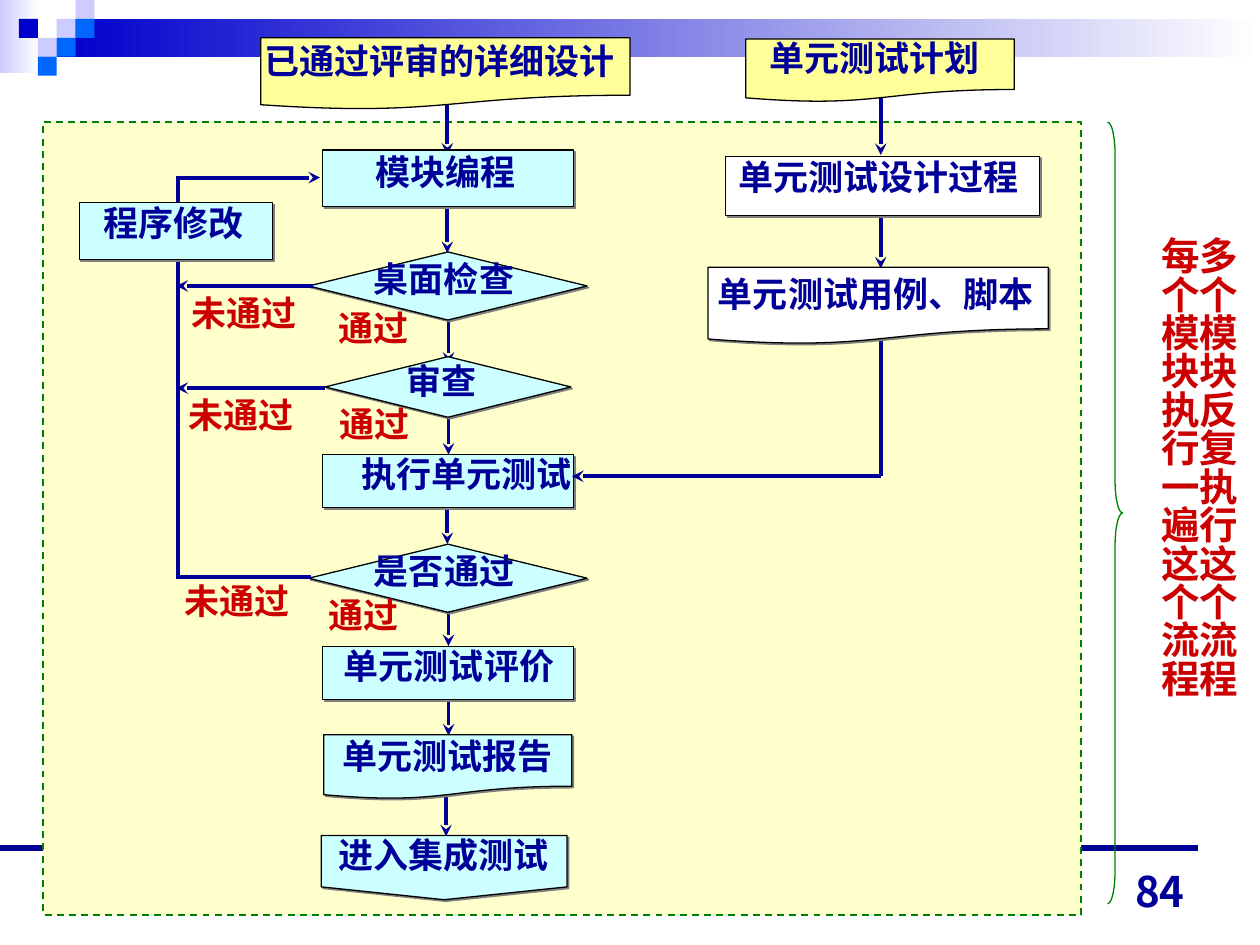
from dataclasses import dataclass

from lxml.etree import SubElement
from pptx import Presentation
from pptx.dml.color import RGBColor
from pptx.enum.dml import MSO_LINE
from pptx.enum.shapes import MSO_CONNECTOR, MSO_SHAPE as Kind
from pptx.enum.text import MSO_ANCHOR as Anchor, PP_ALIGN as Align
from pptx.oxml.ns import qn
from pptx.util import Pt


@dataclass(frozen=True)
class Theme:
    navy: str = "000099"
    blue: str = "0000CC"
    bright: str = "0066FF"
    lilac: str = "CCCCFF"
    white: str = "FFFFFF"
    black: str = "000000"
    gray: str = "808080"
    green: str = "008000"
    red: str = "CC0000"
    aqua: str = "CCFFFF"
    yellow: str = "FFFF99"
    cream: str = "FFFFCC"
    latin: str = "Times New Roman"
    chinese: str = "Noto Sans CJK SC"
    digits: str = "Noto Sans CJK JP"
    label_size: int = 20
    note_size: int = 22
    number_size: int = 24


THEME = Theme()
LABEL_HEIGHT = 32.4


@dataclass(frozen=True)
class Box:
    left: float
    top: float
    width: float
    height: float

    def inside(self, left, top, width, height):
        """Turn a place relative to this box into a place on the page."""
        return Box(self.left + left, self.top + top, width, height)

    def points(self):
        return [Pt(value) for value in (self.left, self.top, self.width, self.height)]


def color(value):
    return RGBColor.from_string(value)


def add_shape(page, kind, box, fill=None, line=None, width=0.75, shadow=False):
    shape = page.shapes.add_shape(kind, *box.points())
    if fill:
        shape.fill.solid()
        shape.fill.fore_color.rgb = color(fill)
    else:
        shape.fill.background()
    if line:
        shape.line.color.rgb = color(line)
        shape.line.width = Pt(width)
    else:
        shape.line.fill.background()
    shape.shadow.inherit = False
    if shadow:
        effects = shape._element.spPr.find(qn("a:effectLst"))
        outer = SubElement(effects, qn("a:outerShdw"), dist=str(Pt(1.4)),
                           dir="2700000", algn="ctr", rotWithShape="0")
        SubElement(outer, qn("a:srgbClr"), val=THEME.gray)
    return shape


def add_gradient(page, box, tint):
    """Add a band that fades from the tint on its left to white."""
    fill = add_shape(page, Kind.RECTANGLE, box, THEME.white).fill
    fill.gradient()
    fill.gradient_angle = 180
    for stop, value in zip(fill.gradient_stops, (THEME.white, tint)):
        stop.color.rgb = color(value)


def add_line(page, region, start, end, arrow=True, width=2.25):
    ends = [Pt(value) for x, y in (start, end)
            for value in (region.left + x, region.top + y)]
    line = page.shapes.add_connector(MSO_CONNECTOR.STRAIGHT, *ends)
    line.line.color.rgb = color(THEME.navy)
    line.line.width = Pt(width)
    if arrow:
        SubElement(line._element.spPr.find(qn("a:ln")), qn("a:tailEnd"), type="stealth")
    SubElement(line._element.spPr, qn("a:effectLst"))


def add_text(page, box, lines, ink, size, font=THEME.latin, align=Align.JUSTIFY,
             spacing=0.9):
    frame = page.shapes.add_textbox(*box.points()).text_frame
    frame.word_wrap = True
    for index, words in enumerate(lines):
        para = frame.add_paragraph() if index else frame.paragraphs[0]
        para.alignment = align
        para.line_spacing = spacing
        span = para.add_run()
        span.text = words
        span.font.size = Pt(size)
        span.font.bold = True
        span.font.color.rgb = color(ink)
        span.font.name = font
        SubElement(span._r.get_or_add_rPr(), qn("a:ea"), typeface=THEME.chinese)
    return frame


def add_label(page, region, left, top, width, words, ink=THEME.navy, font=THEME.latin):
    add_text(page, region.inside(left, top, width, LABEL_HEIGHT), [words], ink,
             THEME.label_size, font)


def add_steps(page, region, steps):
    """Add flow steps: kind, fill, place, label left, top and width, words."""
    for kind, fill, place, label, words in steps:
        add_shape(page, kind, region.inside(*place), fill, THEME.black,
                  shadow=fill != THEME.yellow)
        add_label(page, region, *label, words)


def add_banner(page, region):
    cell = 10.8
    add_gradient(page, region.inside(0, 0, 22.3, 41.8), THEME.lilac)
    add_gradient(page, region.inside(3 * cell, cell, region.width - 3 * cell, 2 * cell),
                 THEME.blue)
    for column, row, fill in (
            (3, 1, THEME.lilac), (4, 0, THEME.lilac), (4, 1, THEME.bright),
            (2, 2, THEME.lilac), (1, 1, THEME.blue), (3, 2, THEME.bright),
            (2, 3, THEME.bright)):
        add_shape(page, Kind.RECTANGLE,
                  region.inside(column * cell, row * cell, cell, cell), fill)


def add_panel(page, region):
    panel = add_shape(page, Kind.RECTANGLE, region, THEME.cream, THEME.green, 1)
    panel.line.dash_style = MSO_LINE.DASH


def add_main_flow(page, region):
    for x, top in ((111.6, 32.4), (111.6, 88.6), (112.3, 151.9), (112.3, 203.8),
                   (111.6, 254.9), (112.3, 313.2), (112.3, 364.3), (110.9, 421.9)):
        add_line(page, region, (x, top), (x, top + 34.4))
    aqua = THEME.aqua
    add_steps(page, region, (
        (Kind.FLOWCHART_DOCUMENT, THEME.yellow, (5, 0, 211, 41), (0, 0, 228),
         "已通过评审的详细设计"),
        (Kind.RECTANGLE, aqua, (40.3, 64.1, 143.3, 32.4), (63.4, 63.4, 103), "模块编程"),
        (Kind.DIAMOND, aqua, (32.4, 122.4, 159.1, 38.9), (62.6, 124.6, 103), "桌面检查"),
        (Kind.DIAMOND, aqua, (41.8, 182.2, 140.4, 34.6), (81.4, 182.9, 103), "审查"),
        (Kind.RECTANGLE, aqua, (40.3, 238.3, 143.3, 30.2), (55.4, 236.2, 136), "执行单元测试"),
        (Kind.DIAMOND, aqua, (32.4, 289.4, 159.1, 38.9), (62.6, 291.6, 107), "是否通过"),
        (Kind.RECTANGLE, aqua, (40.3, 347.8, 143.3, 30.2), (45.4, 345.6, 136), "单元测试评价"),
        (Kind.FLOWCHART_DOCUMENT, aqua, (41, 398.2, 141.8, 36.7), (44.6, 397.4, 136),
         "单元测试报告"),
        (Kind.FLOWCHART_OFFPAGE_CONNECTOR, aqua, (39.6, 455.8, 140.4, 36.7),
         (42.5, 453.6, 136), "进入集成测试"),
    ))


def add_rework_loop(page, region):
    spine = 56.1
    add_line(page, region, (spine, 0), (spine, 229), arrow=False)
    add_shape(page, Kind.RECTANGLE, region.inside(0, 15.1, 110.2, 32.4), THEME.aqua,
              THEME.black, shadow=True)
    add_label(page, region, 6.5, 13.7, 103, "程序修改", font=THEME.chinese)
    add_line(page, region, (spine, 0.7), (137.5, 0.7))
    for start, y, arrow in ((133.2, 62.6, True), (140.4, 121, True), (132.5, 229, False)):
        add_line(page, region, (start, y), (spine - 0.7, y), arrow)
    for left, top in ((56.8, 64.8), (55.4, 123.1), (53.2, 229.7)):
        add_label(page, region, left, top, 91.4, "未通过", THEME.red)
    for left, top in ((141.1, 73.4), (141.8, 128.2), (135.4, 237.6)):
        add_label(page, region, left, top, 64.4, "通过", THEME.red)


def add_test_design(page, region):
    axis, join = 100.1, 252
    for top in (33.1, 97.9):
        add_line(page, region, (axis, top), (axis, top + 35.3))
    add_line(page, region, (axis, join), (-76.3, join))
    add_line(page, region, (axis, 151.9), (axis, join), arrow=False)
    add_steps(page, region, (
        (Kind.FLOWCHART_DOCUMENT, THEME.yellow, (23, 2.1, 153.4, 36), (29.5, 0, 152),
         "单元测试计划"),
        (Kind.RECTANGLE, THEME.white, (11.5, 69.1, 179.3, 33.8), (11.5, 67.6, 189.4),
         "单元测试设计过程"),
        (Kind.FLOWCHART_DOCUMENT, THEME.white, (1.4, 132.5, 194.4, 43.9),
         (0, 134.6, 206.6), "单元测试用例、脚本"),
    ))


def add_side_note(page, region):
    brace = add_shape(page, Kind.RIGHT_BRACE, region.inside(0, 0, 8.6, region.height),
                      line=THEME.green)
    brace.adjustments[0] = 2.16
    frame = add_text(page, region.inside(15.8, 58.3, 59, 278),
                     ["多个模块反复执行这个流程", "每个模块执行一遍这个流程"],
                     THEME.red, THEME.note_size, THEME.chinese, spacing=0.82)
    frame.margin_left = frame.margin_right = Pt(3.6)
    frame.margin_top = frame.margin_bottom = Pt(7.2)
    frame._txBody.bodyPr.set("vert", "eaVert")


def add_page_number(page, region):
    frame = add_text(page, region, ["84"], THEME.navy, THEME.number_size,
                     THEME.digits, Align.RIGHT, spacing=1.0)
    frame.vertical_anchor = Anchor.BOTTOM


def main():
    deck = Presentation()
    deck.slide_width, deck.slide_height = Pt(720), Pt(540)
    page = deck.slides.add_slide(deck.slide_layouts[6])
    whole = Box(0, 0, 720, 540)
    add_banner(page, whole)
    add_line(page, whole, (0, 484.6), (684.7, 484.6), arrow=False, width=3.25)
    add_panel(page, Box(24.5, 69.8, 593.3, 452.9))
    add_main_flow(page, Box(144, 21.6, 228, 493))
    add_rework_loop(page, Box(45.4, 100.8, 206, 270))
    add_test_design(page, Box(403.2, 20.2, 207, 252))
    add_side_note(page, Box(632.9, 69.8, 75, 446.7))
    add_page_number(page, Box(516.2, 491, 167.8, 36))
    deck.save("out.pptx")


if __name__ == "__main__":
    main()
